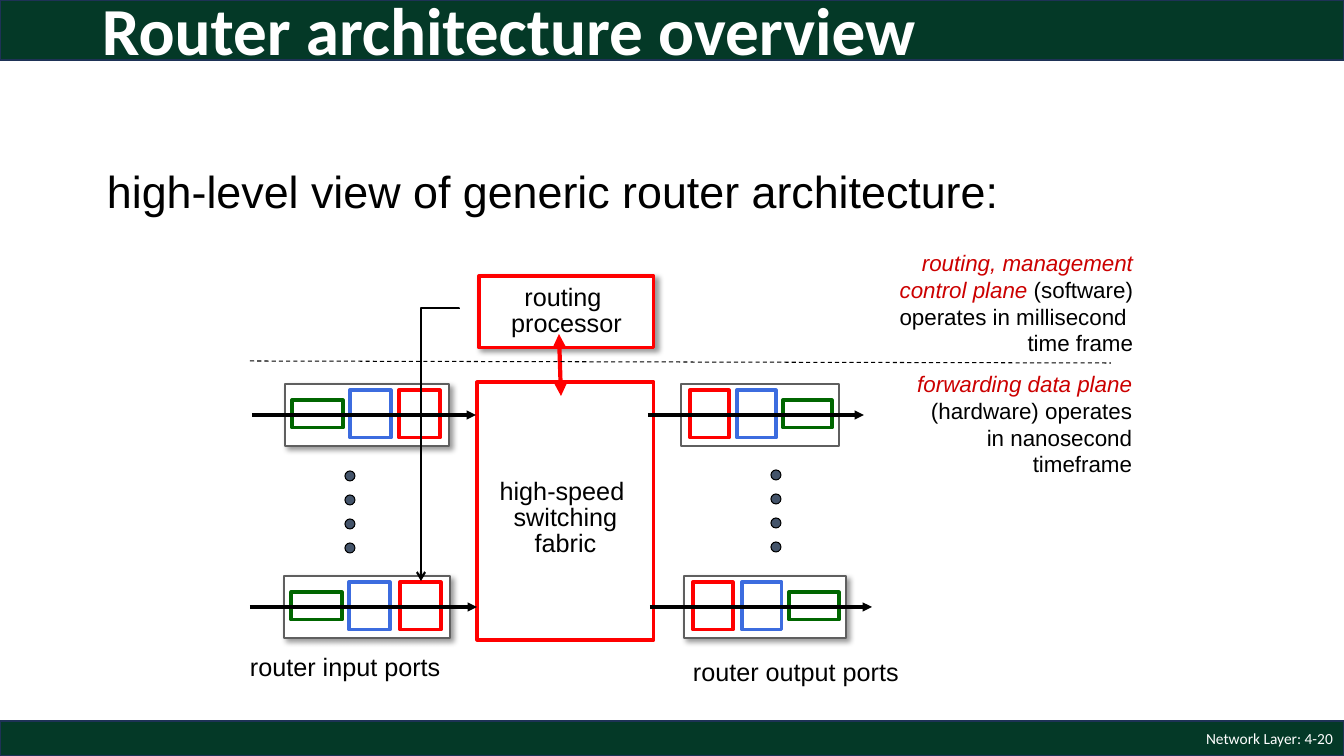
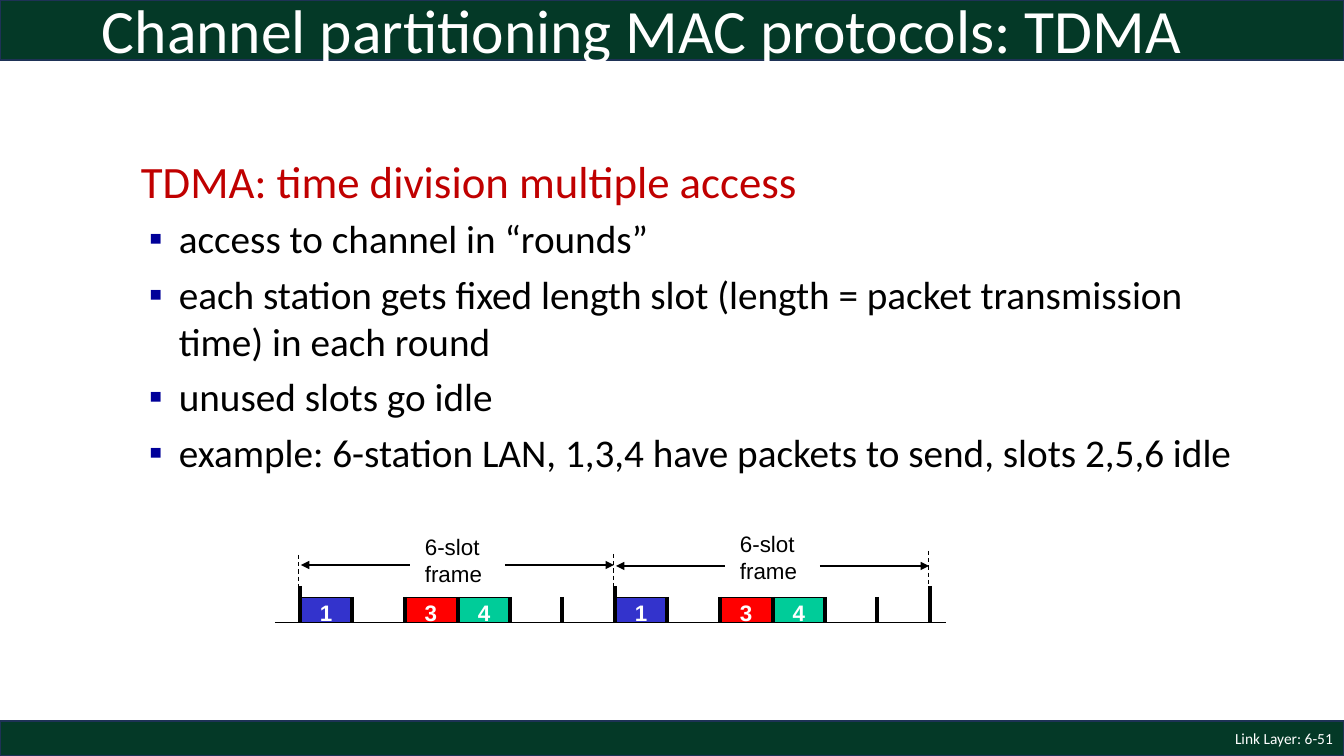
from lxml.etree import SubElement
from pptx import Presentation
from pptx.dml.color import RGBColor
from pptx.enum.dml import MSO_LINE
from pptx.enum.shapes import MSO_CONNECTOR, MSO_SHAPE
from pptx.enum.text import MSO_ANCHOR, PP_ALIGN
from pptx.oxml.ns import qn
from pptx.util import Emu, Pt

EMU_PER_PX = 914400 / 100.8


def px(length):
    return Emu(round(length * EMU_PER_PX))


def color(hex_code):
    return RGBColor.from_string(hex_code)


def child(parent, tag, **attributes):
    return SubElement(parent, qn(tag), attributes)


class Deck:
    WIDTH, HEIGHT = 1344, 756
    BAND, BAND_EDGE = "043927", "1E3256"
    BLACK, WHITE, RED, BLUE, GREEN = "000000", "FFFFFF", "FF0000", "3C6CDF", "006600"
    EMPHASIS, HEADING, BULLET = "CC0000", "C00000", "000099"
    HEAD_FONT, BODY_FONT = "Calibri", "Arial"

    def __init__(self):
        self.presentation = Presentation()
        self.presentation.slide_width = px(self.WIDTH)
        self.presentation.slide_height = px(self.HEIGHT)
        self.slide = None

    def start(self, title, footer, title_size, bold=False):
        self.slide = self.presentation.slides.add_slide(self.presentation.slide_layouts[6])
        for top, height in ((0, 60), (721, 35)):
            self.box(0, top, self.WIDTH, height, self.BAND, self.BAND_EDGE, 1)
        self.text(1041, 721, 302, 35, [footer], 11, self.WHITE, self.HEAD_FONT,
                  align=PP_ALIGN.RIGHT, anchor=MSO_ANCHOR.MIDDLE)
        self.text(92, -16, 1159, 99, [title], title_size, self.WHITE, self.HEAD_FONT,
                  bold=bold, spacing=0.9, anchor=MSO_ANCHOR.MIDDLE)

    def set_lines(self, frame, lines, size, hue, font, bold=False, align=PP_ALIGN.LEFT,
                  spacing=None):
        frame.text = "\n".join(lines)
        for paragraph in frame.paragraphs:
            paragraph.alignment = align
            if spacing:
                paragraph.line_spacing = spacing
            for run in paragraph.runs:
                self.style(run, size, hue, font, bold)

    def style(self, run, size, hue, font, bold=False, italic=False):
        run.font.size = Pt(size)
        run.font.color.rgb = color(hue)
        run.font.name = font
        run.font.bold = bold
        run.font.italic = italic

    def text(self, left, top, width, height, lines, size, hue=BLACK, font=BODY_FONT,
             bold=False, align=PP_ALIGN.LEFT, spacing=None, anchor=MSO_ANCHOR.TOP, wrap=True):
        frame = self.slide.shapes.add_textbox(px(left), px(top), px(width), px(height)).text_frame
        frame.word_wrap = wrap
        frame.vertical_anchor = anchor
        self.set_lines(frame, lines, size, hue, font, bold, align, spacing)
        return frame

    def note(self, left, top, width, height, lines):
        frame = self.text(left, top, width, height, [emphasis for emphasis, _ in lines], 16,
                          align=PP_ALIGN.RIGHT)
        for paragraph, (_, plain) in zip(frame.paragraphs, lines):
            for run in paragraph.runs:
                self.style(run, 16, self.EMPHASIS, self.BODY_FONT, italic=True)
            if plain:
                run = paragraph.add_run()
                run.text = plain
                self.style(run, 16, self.BLACK, self.BODY_FONT)

    def bullets(self, left, top, width, height, heading, items):
        frame = self.text(left, top, width, height, [heading, *items], 28, font=self.HEAD_FONT)
        for paragraph in frame.paragraphs:
            paragraph.space_before = Pt(6)
            properties = paragraph._p.get_or_add_pPr()
            properties.set("marL", str(px(38)))
            properties.set("indent", str(px(-30)))
        first, *rest = frame.paragraphs
        first.line_spacing = 0.75
        first._p.pPr.set("indent", str(px(-38)))
        self.style(first.runs[0], 32, self.HEADING, self.HEAD_FONT)
        for paragraph in rest:
            properties = paragraph._p.pPr
            child(child(properties, "a:buClr"), "a:srgbClr", val=self.BULLET)
            child(properties, "a:buFont", typeface=self.BODY_FONT)
            child(properties, "a:buChar", char="▪")

    def box(self, left, top, width, height, fill, edge, weight, shadow=False,
            kind=MSO_SHAPE.RECTANGLE):
        shape = self.slide.shapes.add_shape(kind, px(left), px(top), px(width), px(height))
        shape.fill.solid()
        shape.fill.fore_color.rgb = color(fill)
        shape.line.color.rgb = color(edge)
        shape.line.width = Pt(weight)
        shape.shadow.inherit = False
        if shadow:
            effects = shape._element.spPr.find(qn("a:effectLst"))
            cast = child(effects, "a:outerShdw", blurRad=str(Pt(4)), dist=str(Pt(3)),
                         dir="2700000", algn="tl", rotWithShape="0")
            child(child(cast, "a:srgbClr", val=self.BLACK), "a:alpha", val="40000")
        return shape

    def labelled_box(self, left, top, width, height, fill, edge, weight, lines, size, hue,
                     bold=False, spacing=None, drop=0, shadow=False):
        frame = self.box(left, top, width, height, fill, edge, weight, shadow).text_frame
        frame.margin_left = frame.margin_right = frame.margin_bottom = 0
        frame.margin_top = px(2 * drop)
        frame.vertical_anchor = MSO_ANCHOR.MIDDLE
        self.set_lines(frame, lines, size, hue, self.BODY_FONT, bold, PP_ALIGN.CENTER, spacing)

    def line(self, x1, y1, x2, y2, weight=0.75, hue=BLACK, dashed=False, head=None, tail=None,
             kind=MSO_CONNECTOR.STRAIGHT):
        connector = self.slide.shapes.add_connector(kind, px(x1), px(y1), px(x2), px(y2))
        connector.line.color.rgb = color(hue)
        connector.line.width = Pt(weight)
        if dashed:
            connector.line.dash_style = MSO_LINE.DASH
        outline = connector.line._get_or_add_ln()
        for tag, end in (("a:headEnd", head), ("a:tailEnd", tail)):
            if end:
                child(outline, tag, type=end)
        child(connector._element.spPr, "a:effectLst")
        return connector

    def turned_elbow(self, x1, y1, x2, y2, weight, tail):
        middle_x, middle_y = (x1 + x2) / 2, (y1 + y2) / 2
        half_run, half_rise = (y2 - y1) / 2, (x1 - x2) / 2
        elbow = self.line(middle_x - half_run, middle_y - half_rise,
                          middle_x + half_run, middle_y + half_rise,
                          weight, tail=tail, kind=MSO_CONNECTOR.ELBOW)
        properties = elbow._element.spPr
        properties.find(qn("a:xfrm")).set("rot", "5400000")
        adjustments = properties.find(qn("a:prstGeom")).find(qn("a:avLst"))
        child(adjustments, "a:gd", name="adj1", fmla="val -100")

    def port(self, left, top, width, arrow_start, arrow_end, outbound, shadow=True):
        self.box(left, top, width, 62, self.WHITE, "5F5F5F", 1.5, shadow)
        scale = width / 165
        for offset, stage_width, stage_height, edge in (
                (7, 51, 28, self.GREEN), (65, 41, 48, self.BLUE), (115, 41, 48, self.RED)):
            if outbound:
                offset = 165 - offset - stage_width
            self.box(left + round(offset * scale), top + 30 - stage_height // 2,
                     round(stage_width * scale), stage_height, self.WHITE, edge, 2.25)
        self.line(arrow_start, top + 31, arrow_end, top + 31, 2.25, tail="triangle")

    def dots(self, left, top):
        for index in range(4):
            self.box(left, top + 24 * index, 10, 10, "44546A", self.BLACK, 0.75,
                     kind=MSO_SHAPE.OVAL)

    def slot_frame(self, start, label_top, arrow_y):
        def boundary(number):
            return start + round(number * 52.5)

        for position, station, fill in ((0, "1", "3333CC"), (2, "3", self.RED), (3, "4", "00CC99")):
            self.labelled_box(boundary(position), 598, 52, 25, fill, self.BLACK, 0.75,
                              [station], 16, self.WHITE, bold=True, drop=2)
        for number in range(1, 6):
            self.line(boundary(number), 597, boundary(number), 623, 2.25)
        self.text(start + 115, label_top, 78, 64, ["6-slot", "frame"], 16, wrap=False)
        self.line(start + 205, arrow_y, start + 314, arrow_y, tail="triangle")
        self.line(start + 110, arrow_y, start + 1, arrow_y, tail="triangle")


def router_slide(deck):
    deck.start("Router architecture overview", "Network Layer: 4-20", 48, bold=True)
    deck.text(97, 159, 1189, 65, ["high-level view of generic router architecture:"], 32)
    deck.labelled_box(477, 382, 177, 258, deck.WHITE, deck.RED, 2.25,
                      ["high-speed ", "switching", "fabric"], 18, deck.BLACK,
                      spacing=0.85, drop=8)
    deck.labelled_box(479, 276, 175, 72, deck.WHITE, deck.RED, 2.25,
                      ["routing ", "processor"], 18, deck.BLACK, spacing=0.85, shadow=True)
    deck.line(559, 334, 561, 396, 3, deck.RED, head="triangle", tail="triangle")
    deck.port(285, 384, 164, 252, 476, outbound=False)
    deck.port(284, 576, 166, 250, 477, outbound=False)
    deck.port(681, 384, 158, 648, 864, outbound=True, shadow=False)
    deck.port(684, 576, 162, 650, 872, outbound=True)
    deck.dots(345, 471)
    deck.dots(771, 470)
    deck.text(240, 646, 211, 40, ["router input ports"], 18, wrap=False)
    deck.text(683, 651, 226, 40, ["router output ports"], 18, wrap=False)
    deck.line(250, 361, 1111, 363, dashed=True)
    deck.note(901, 365, 241, 119, [
        ("forwarding data plane ", "(hardware) operates in nanosecond timeframe")])
    deck.note(826, 244, 317, 119, [
        ("routing, management", ""), ("control plane ", "(software)"),
        ("", "operates in millisecond "), ("", "time frame")])
    deck.turned_elbow(459, 308, 421, 581, 1.5, tail="arrow")


def tdma_slide(deck):
    deck.start("Channel partitioning MAC protocols: TDMA", "Link Layer: 6-51", 44)
    deck.bullets(131, 161, 1128, 323, "TDMA: time division multiple access", [
        "access to channel in “rounds”",
        "each station gets fixed length slot (length = packet transmission time) in each round",
        "unused slots go idle",
        "example: 6-station LAN, 1,3,4 have packets to send, slots 2,5,6 idle"])
    deck.line(275, 623, 946, 623)
    deck.slot_frame(300, 528, 565)
    deck.slot_frame(615, 525, 566)
    for edge, dash_top, weight in ((300, 555, 2.25), (615, 554, 3), (930, 551, 3)):
        deck.line(edge, 586, edge, 623, weight)
        deck.line(edge - 1, dash_top, edge - 1, dash_top + 33, dashed=True)


def main():
    deck = Deck()
    router_slide(deck)
    tdma_slide(deck)
    deck.presentation.save("out.pptx")


if __name__ == "__main__":
    main()
